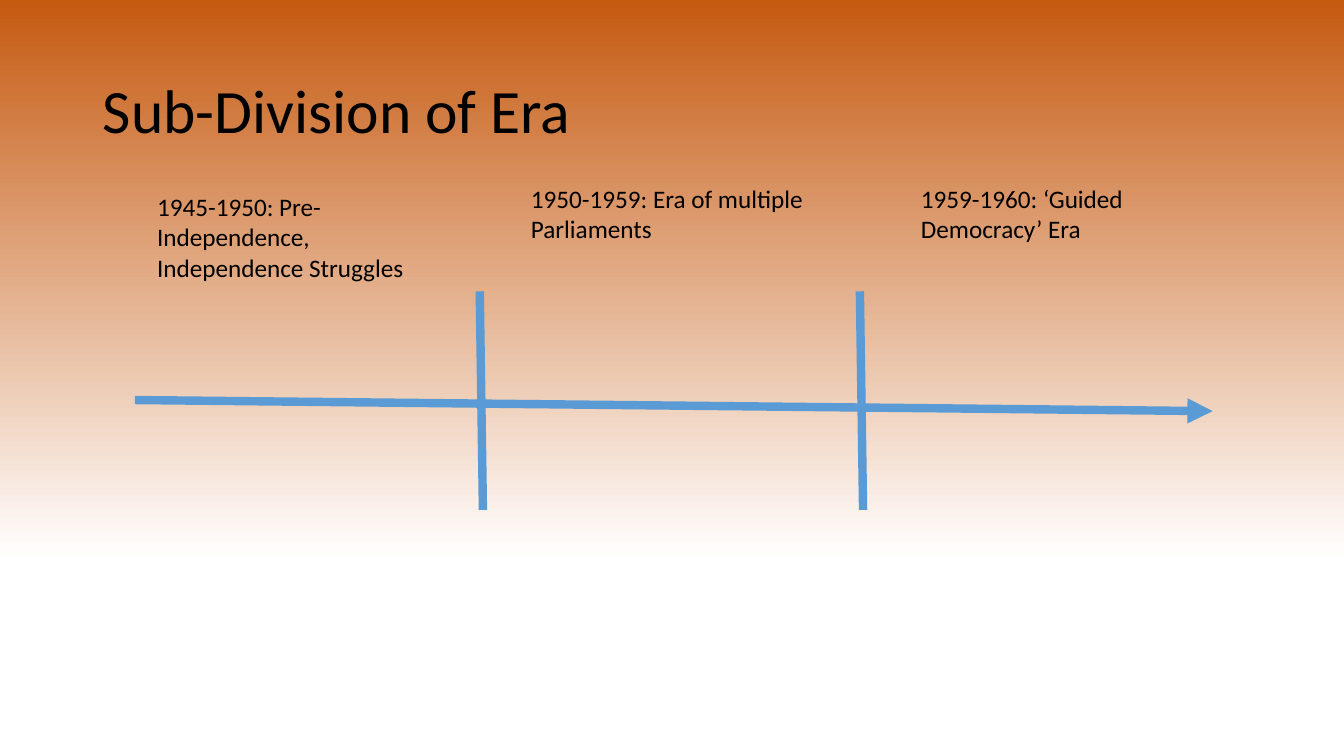
"""Build a timeline slide that divides an era into three periods."""
from lxml.etree import SubElement
from pptx import Presentation
from pptx.dml.color import RGBColor
from pptx.enum.shapes import MSO_CONNECTOR
from pptx.enum.text import MSO_ANCHOR, MSO_AUTO_SIZE
from pptx.oxml.ns import qn
from pptx.util import Cm, Pt

COLORS = {"top": "C55A11", "bottom": "FFFFFF", "line": "5B9BD5", "text": "000000"}
PERIODS = [
    (3.71, 4.7, 2.57, "1945-1950: Pre-Independence, Independence Struggles"),
    (13.13, 4.5, 1.8, "1950-1959: Era of multiple Parliaments"),
    (22.96, 4.5, 1.8, "1959-1960: ‘Guided Democracy’ Era"),
]
DIVIDERS = [12.09, 21.67]


def color(name):
    return RGBColor.from_string(COLORS[name])


def set_background(s):
    fill = s.background.fill
    fill.gradient()
    fill.gradient_angle = 270
    stops = [(0, "top"), (0.74, "bottom")]
    for stop, (position, name) in zip(fill.gradient_stops, stops):
        stop.position = position
        stop.color.rgb = color(name)


def add_text(s, x, y, w, h, text, size):
    sp = s.shapes.add_textbox(Cm(x), Cm(y), Cm(w), Cm(h))
    tf = sp.text_frame
    tf.word_wrap = True
    r = tf.paragraphs[0].add_run()
    r.text = text
    r.font.name = "Calibri"
    r.font.size = Pt(size)
    r.font.color.rgb = color("text")
    return tf


def add_title(s, text):
    tf = add_text(s, 2.34, 1.02, 29.21, 3.68, text, 44)
    tf.vertical_anchor = MSO_ANCHOR.MIDDLE
    tf.paragraphs[0].line_spacing = 0.9


def add_label(s, x, y, h, text):
    tf = add_text(s, x, y, 7.59, h, text, 18)
    tf.auto_size = MSO_AUTO_SIZE.SHAPE_TO_FIT_TEXT


def add_line(s, x1, y1, x2, y2, arrow=False):
    sp = s.shapes.add_connector(MSO_CONNECTOR.STRAIGHT, Cm(x1), Cm(y1), Cm(x2), Cm(y2))
    sp.line.color.rgb = color("line")
    sp.line.width = Pt(6)
    spPr = sp._element.spPr
    if arrow:
        SubElement(spPr.find(qn("a:ln")), qn("a:tailEnd"), type="triangle")
    SubElement(spPr, qn("a:effectLst"))


def main():
    prs = Presentation()
    prs.slide_width, prs.slide_height = Cm(33.87), Cm(19.05)
    s = prs.slides.add_slide(prs.slide_layouts[6])
    set_background(s)
    add_title(s, "Sub-Division of Era")
    add_line(s, 3.4, 10.08, 30.56, 10.36, arrow=True)
    for x in DIVIDERS:
        add_line(s, x, 7.34, x + 0.08, 12.85)
    for x, y, h, text in PERIODS:
        add_label(s, x, y, h, text)
    prs.save("out.pptx")


if __name__ == "__main__":
    main()
